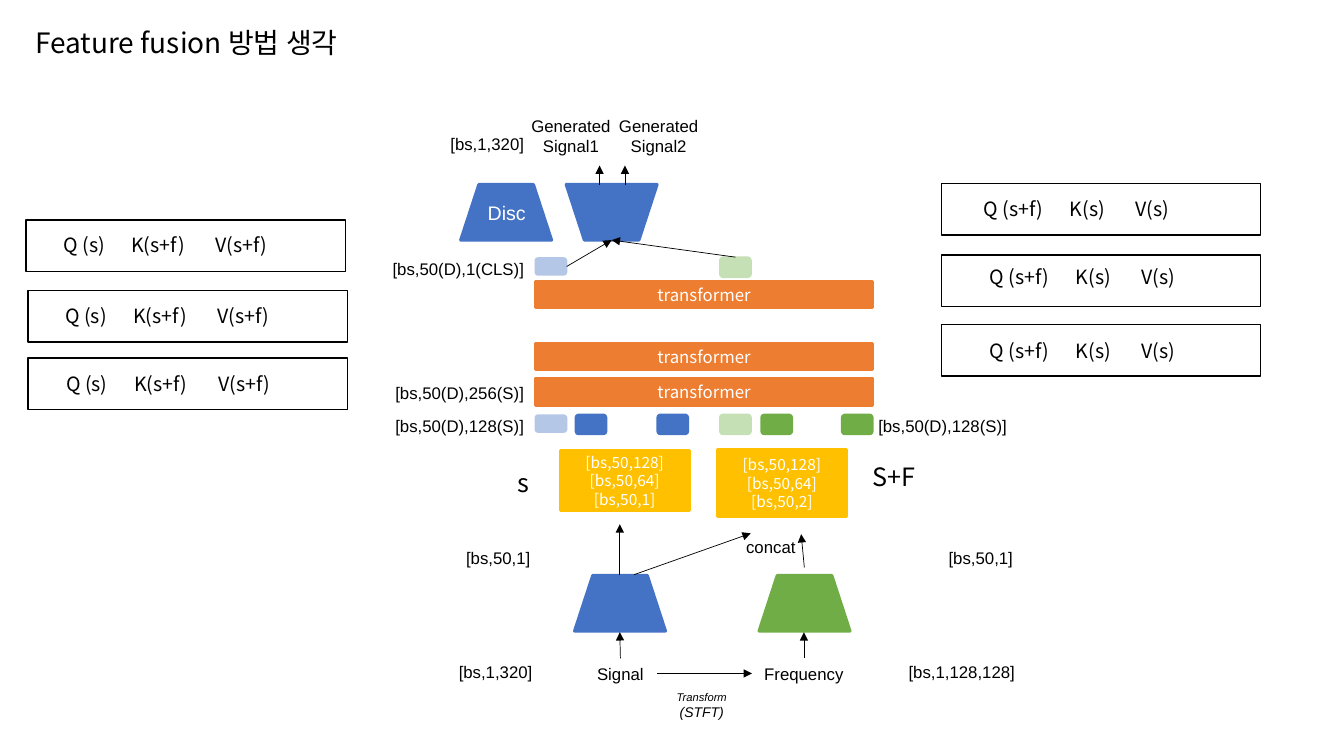
import pptx
import pptx.util
import pptx.dml.color
import pptx.enum.shapes
import pptx.enum.text
import pptx.oxml
import pptx.oxml.ns

Cm = pptx.util.Cm
Pt = pptx.util.Pt
RGBColor = pptx.dml.color.RGBColor
KIND = pptx.enum.shapes.MSO_SHAPE
ALIGN = pptx.enum.text.PP_ALIGN
qn = pptx.oxml.ns.qn

BLACK = RGBColor(0x00, 0x00, 0x00)
WHITE = RGBColor(0xFF, 0xFF, 0xFF)
BLUE = RGBColor(0x44, 0x72, 0xC4)
GREEN = RGBColor(0x70, 0xAD, 0x47)
ORANGE = RGBColor(0xED, 0x7D, 0x31)
GOLD = RGBColor(0xFF, 0xC0, 0x00)
SKY = RGBColor(0xB4, 0xC7, 0xE7)
MINT = RGBColor(0xC5, 0xE0, 0xB4)
SANS = "Arial"
NOTO = "Noto Sans CJK KR"


def node(parent, tag, **attrs):
    item = pptx.oxml.parse_xml(
        '<%s xmlns:a="http://schemas.openxmlformats.org/drawingml/2006/main"/>' % tag)
    for key, value in attrs.items():
        item.set(key, str(value))
    parent.append(item)
    return item


def write(frame, text, size=12, font=SANS, color=BLACK, align=ALIGN.LEFT,
          slant=False, sizes=None, tabs=()):
    frame.word_wrap = True
    for i, line in enumerate(text.split("\n")):
        para = frame.add_paragraph() if i else frame.paragraphs[0]
        para.alignment = align
        if tabs:
            stops = node(para._p.get_or_add_pPr(), "a:tabLst")
            for stop in tabs:
                node(stops, "a:tab", pos=int(Cm(stop)), algn="l")
        run = para.add_run()
        run.text = line
        run.font.size = Pt(sizes[i] if sizes else size)
        run.font.name = font
        run.font.color.rgb = color
        if slant:
            run.font.italic = True
        node(run._r.get_or_add_rPr(), "a:ea", typeface=font)


class Board:
    def __init__(self, slide):
        self.slide = slide
        self.shapes = slide.shapes

    def label(self, text, x, y, w, h=0.76, **style):
        box = self.shapes.add_textbox(Cm(x), Cm(y), Cm(w), Cm(h))
        write(box.text_frame, text, **style)
        box.text_frame.auto_size = pptx.enum.text.MSO_AUTO_SIZE.SHAPE_TO_FIT_TEXT
        return box

    def block(self, kind, x, y, w, h, fill=None, width=2.25, turn=0, text="", size=12):
        item = self.shapes.add_shape(kind, Cm(x), Cm(y), Cm(w), Cm(h))
        item.shadow.inherit = False
        item.rotation = turn
        if fill is None:
            item.fill.background()
        else:
            item.fill.solid()
            item.fill.fore_color.rgb = fill
        item.line.color.rgb = BLACK if fill is None else fill
        item.line.width = Pt(width)
        if text:
            item.text_frame.vertical_anchor = pptx.enum.text.MSO_ANCHOR.MIDDLE
            write(item.text_frame, text, size, NOTO, WHITE, ALIGN.CENTER)
        return item

    def funnel(self, x, y, fill, turn=180):
        return self.block(KIND.FLOWCHART_MANUAL_OPERATION, x, y, 2.29, 1.4, fill, turn=turn)

    def token(self, x, y, fill, h=0.51):
        return self.block(KIND.ROUNDED_RECTANGLE, x, y, 0.79, h, fill, 1)

    def arrow(self, x1, y1, x2, y2, start=None, end=None):
        line = self.shapes.add_connector(
            pptx.enum.shapes.MSO_CONNECTOR.STRAIGHT, Cm(x1), Cm(y1), Cm(x2), Cm(y2))
        if start:
            line.begin_connect(*start)
        if end:
            line.end_connect(*end)
        line.line.color.rgb = BLACK
        line.line.width = Pt(0.5)
        node(line.line._get_or_add_ln(), "a:tailEnd", type="triangle")
        node(line._element.find(qn("p:spPr")), "a:effectLst")


def main():
    deck = pptx.Presentation()
    deck.slide_width, deck.slide_height = Cm(33.87), Cm(19.05)
    board = Board(deck.slides.add_slide(deck.slide_layouts[6]))

    board.label("Feature fusion 방법 생각", 0.64, 0.53, 12.17, 1.12, size=20, font=NOTO)

    board.funnel(14.48, 14.5, BLUE)
    board.funnel(19.13, 14.5, GREEN)
    board.funnel(11.61, 4.65, BLUE)
    mixer = board.funnel(14.27, 4.65, BLUE, 0)
    board.label("Disc", 12.04, 4.93, 2.08, 0.86, size=14, color=WHITE)

    for y in (9.55, 8.66, 7.09):
        board.block(KIND.RECTANGLE, 13.49, y, 8.51, 0.66, ORANGE, text="transformer")
    for x, y, h, last in ((18.08, 11.33, 1.68, 2), (14.12, 11.35, 1.52, 1)):
        board.block(KIND.RECTANGLE, x, y, 3.25, h, GOLD, size=11,
                    text=f"[bs,50,128]\n[bs,50,64]\n[bs,50,{last}]")

    board.token(13.49, 10.46, SKY, 0.43)
    for x, fill in ((14.5, BLUE), (16.56, BLUE), (18.14, MINT), (19.18, GREEN), (21.21, GREEN)):
        board.token(x, 10.44, fill)
    sky = board.token(13.49, 6.5, SKY, 0.43)
    mint = board.token(18.14, 6.48, MINT)

    signal = board.label("Signal", 14.71, 16.59, 1.85, align=ALIGN.CENTER)
    freq = board.label("Frequency", 18.95, 16.59, 2.62, align=ALIGN.CENTER)
    board.label("Transform\n(STFT)", 16.76, 17.27, 1.85, 1.02, sizes=(8, 10),
                slant=True, align=ALIGN.CENTER)
    for i, x in enumerate((13.08, 15.29), 1):
        board.label(f"Generated\nSignal{i}", x, 2.79, 2.62, 1.27, align=ALIGN.CENTER)

    board.arrow(16.56, 16.97, 18.95, 16.97, (signal, 3), (freq, 1))
    board.arrow(15.62, 16.59, 15.62, 15.93, (signal, 0))
    board.arrow(20.26, 16.59, 20.26, 15.93, (freq, 0))
    board.arrow(14.28, 6.72, 15.42, 6.05, (sky, 3), (mixer, 2))
    board.arrow(18.53, 6.48, 15.42, 6.05, (mint, 0), (mixer, 2))
    for x in (15.11, 15.75):
        board.arrow(x, 4.65, x, 4.17)
    board.arrow(15.62, 14.5, 15.62, 13.21)
    board.arrow(15.98, 14.48, 18.92, 13.44)
    board.arrow(20.27, 14.3, 20.19, 13.46)

    for text, x, y, w in (
            ("[bs,1,320]", 11.18, 16.54, 2.49),
            ("[bs,50,1]", 11.13, 13.69, 2.49),
            ("[bs,50(D),128(S)]", 9.6, 10.36, 3.86),
            ("[bs,50(D),256(S)]", 9.6, 9.53, 3.86),
            ("[bs,50(D),1(CLS)]", 9.6, 6.4, 3.86),
            ("[bs,1,320]", 9.6, 3.25, 3.86),
            ("[bs,1,128,128]", 22.58, 16.54, 3.25),
            ("[bs,50,1]", 23.29, 13.69, 2.49),
            ("[bs,50(D),128(S)]", 21.77, 10.36, 3.86),
            ("concat", 17.81, 13.39, 2.49)):
        board.label(text, x, y, w, align=ALIGN.RIGHT)

    left = ("Q (s)\tK(s+f)\tV(s+f)", (1.71, 3.83))
    right = ("Q (s+f)\tK(s)\tV(s)", (2.17, 3.83))
    for (text, tabs), x, y, tx, ty in (
            (right, 23.72, 8.18, 24.69, 8.41),
            (right, 23.72, 6.43, 24.69, 6.55),
            (right, 23.72, 4.62, 24.54, 4.83),
            (left, 0.71, 9.02, 1.42, 9.25),
            (left, 0.71, 7.32, 1.4, 7.54),
            (left, 0.66, 5.54, 1.35, 5.74)):
        board.block(KIND.RECTANGLE, x, y, 8.05, 1.3, width=1)
        board.label(text, tx, ty, 9.17, 0.86, size=14, font=NOTO, tabs=tabs)

    board.label("s", 12.8, 11.66, 1.3, 1.02, size=18, font=NOTO)
    board.label("S+F", 21.74, 11.51, 2.13, 1.02, size=18, font=NOTO)

    deck.save("out.pptx")


if __name__ == "__main__":
    main()
